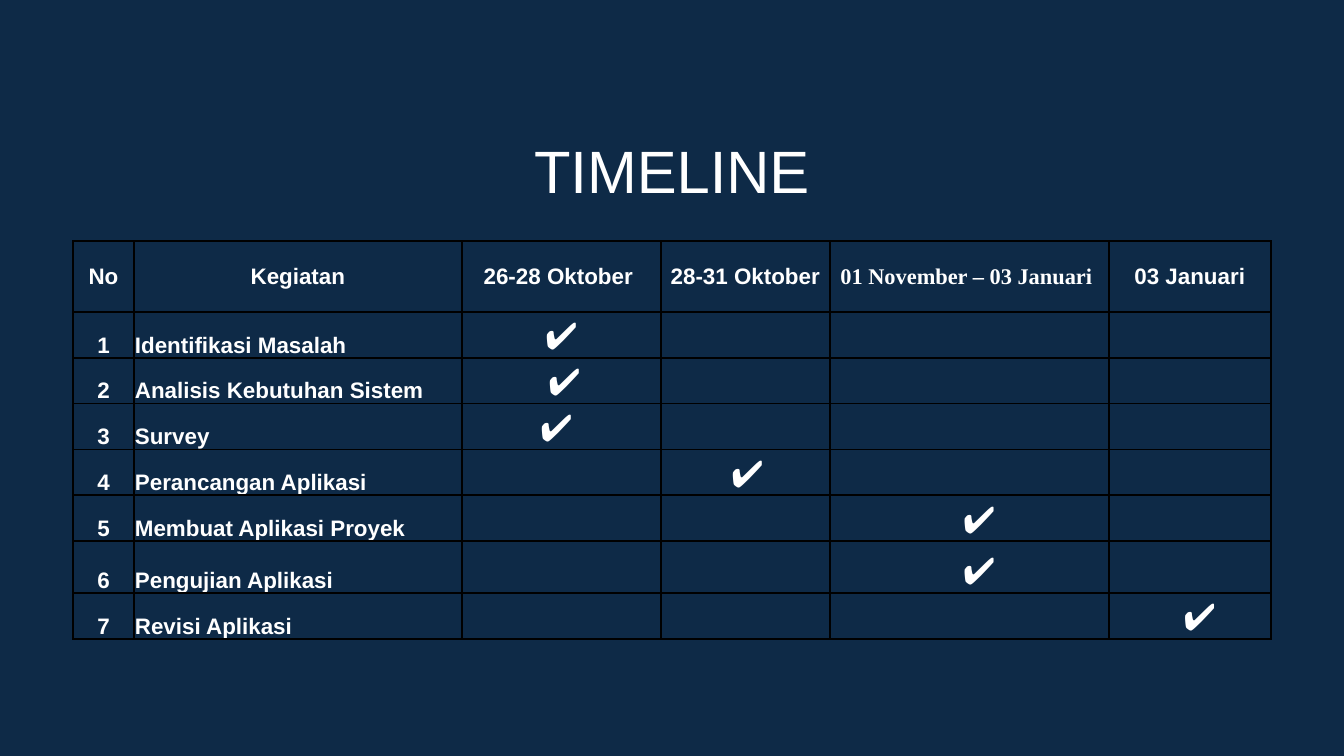
from dataclasses import dataclass

from lxml import etree
from pptx import Presentation
from pptx import util as u
from pptx.dml.color import RGBColor
from pptx.enum import text
from pptx.oxml import ns

TITLE = "TIMELINE"
HEADERS = ["No", "Kegiatan", "26-28 Oktober ", "28-31 Oktober",
           "01 November – 03 Januari ", "03 Januari"]
SERIF_HEADER = 4
# activity, column of its check mark, sideways shift of the mark in px
ACTIVITIES = [
    ("Identifikasi Masalah", 2, 0),
    ("Analisis Kebutuhan Sistem", 2, 3),
    ("Survey", 2, -5),
    ("Perancangan Aplikasi", 3, 2),
    ("Membuat Aplikasi Proyek", 4, 10),
    ("Pengujian Aplikasi", 4, 10),
    ("Revisi Aplikasi", 5, 10),
]
CHECK = "✔"

SLIDE_SIZE = (1344, 756)
TITLE_BOX = (154, 116, 1036, 71)
TABLE_ORIGIN = (73, 241)
COLUMN_WIDTHS = [61, 328, 199, 169, 279, 162]
ROW_HEIGHTS = [71, 44, 43, 44, 43, 44, 52, 43]
CELL_MARGIN = 1


@dataclass(frozen=True)
class Theme:
    background: str = "0E2A47"
    ink: str = "FFFFFF"
    border: str = "000000"
    sans: str = "Arial"
    serif: str = "Times New Roman"
    title_size: int = 32
    body_size: int = 12
    check_size: int = 20
    border_width: int = 1


THEME = Theme()
CENTER, LEFT = text.PP_ALIGN.CENTER, text.PP_ALIGN.LEFT
MIDDLE, BOTTOM = text.MSO_ANCHOR.MIDDLE, text.MSO_ANCHOR.BOTTOM


def px(length):
    return u.Emu(round(length * 914400 / 134.4))


def write(frame, words, size, font=THEME.sans, align=CENTER, bold=True):
    paragraph = frame.paragraphs[0]
    paragraph.alignment = align
    run = paragraph.add_run()
    run.text = words
    run.font.name = font
    run.font.size = u.Pt(size)
    run.font.bold = bold
    run.font.color.rgb = RGBColor.from_string(THEME.ink)


def add_borders(cell):
    properties = cell._tc.get_or_add_tcPr()
    for side in ("a:lnL", "a:lnR", "a:lnT", "a:lnB"):
        line = etree.SubElement(properties, ns.qn(side),
                                w=str(u.Pt(THEME.border_width)))
        fill = etree.SubElement(line, ns.qn("a:solidFill"))
        etree.SubElement(fill, ns.qn("a:srgbClr"), val=THEME.border)


def style_cell(cell, anchor):
    cell.margin_left = cell.margin_right = cell.margin_top = px(CELL_MARGIN)
    cell.margin_bottom = 0
    cell.vertical_anchor = anchor
    add_borders(cell)
    cell.fill.background()


def add_check(cell, shift):
    """Centre a check mark, moved sideways by widening one margin."""
    cell.margin_left = px(CELL_MARGIN + 2 * max(shift, 0))
    cell.margin_right = px(CELL_MARGIN + 2 * max(-shift, 0))
    write(cell.text_frame, CHECK, THEME.check_size, THEME.serif)


def add_title(slide):
    frame = slide.shapes.add_textbox(*map(px, TITLE_BOX)).text_frame
    frame.word_wrap = True
    frame.margin_top = px(18)
    write(frame, TITLE, THEME.title_size, bold=False)


def add_timeline(slide):
    table = slide.shapes.add_table(
        len(ROW_HEIGHTS), len(COLUMN_WIDTHS), *map(px, TABLE_ORIGIN),
        px(sum(COLUMN_WIDTHS)), px(sum(ROW_HEIGHTS))).table
    table.first_row = table.horz_banding = False
    for column, width in zip(table.columns, COLUMN_WIDTHS):
        column.width = px(width)
    for index, height in enumerate(ROW_HEIGHTS):
        table.rows[index].height = px(height)
        for cell in table.rows[index].cells:
            style_cell(cell, BOTTOM if index else MIDDLE)

    for index, header in enumerate(HEADERS):
        font = THEME.serif if index == SERIF_HEADER else THEME.sans
        write(table.cell(0, index).text_frame, header, THEME.body_size, font)
    for number, (activity, column, shift) in enumerate(ACTIVITIES, 1):
        write(table.cell(number, 0).text_frame, str(number), THEME.body_size)
        write(table.cell(number, 1).text_frame, activity, THEME.body_size,
              align=LEFT)
        add_check(table.cell(number, column), shift)


def main():
    presentation = Presentation()
    presentation.slide_width, presentation.slide_height = map(px, SLIDE_SIZE)
    slide = presentation.slides.add_slide(presentation.slide_layouts[6])
    slide.background.fill.solid()
    slide.background.fill.fore_color.rgb = RGBColor.from_string(THEME.background)
    add_title(slide)
    add_timeline(slide)
    presentation.save("out.pptx")


if __name__ == "__main__":
    main()
